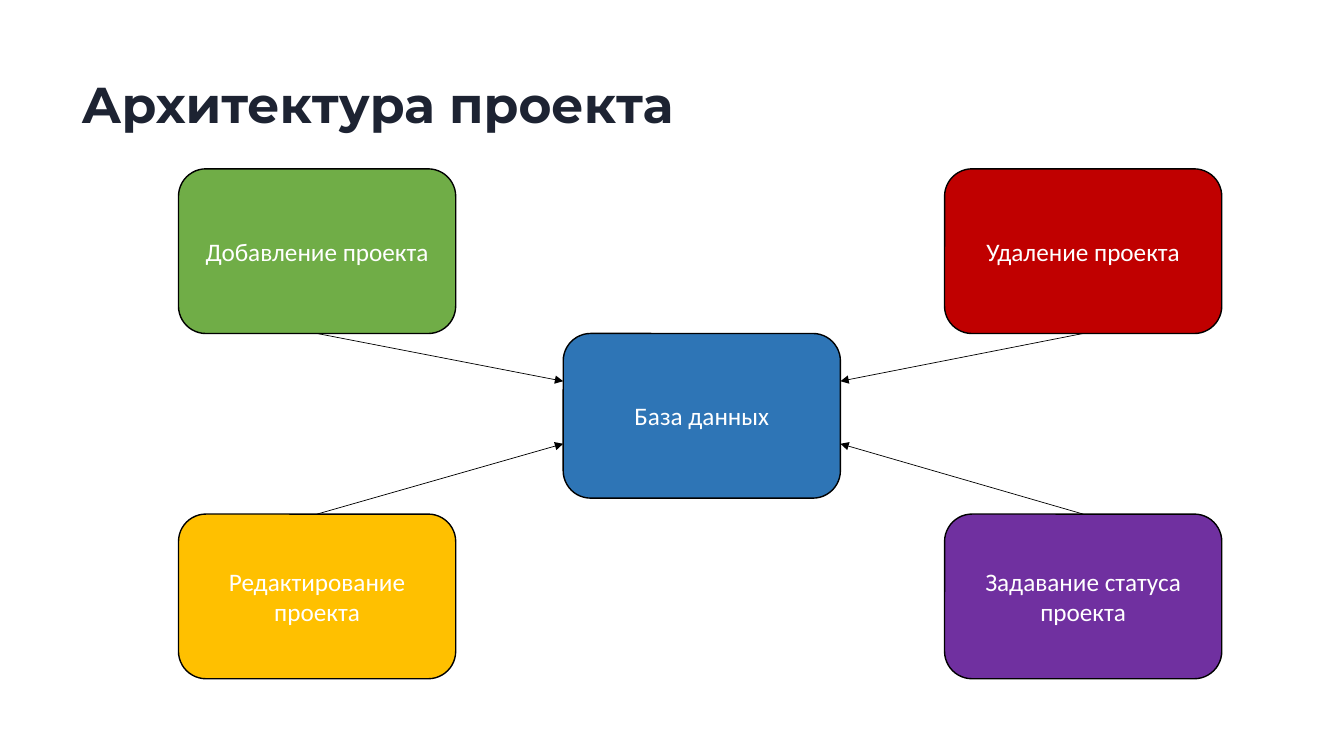
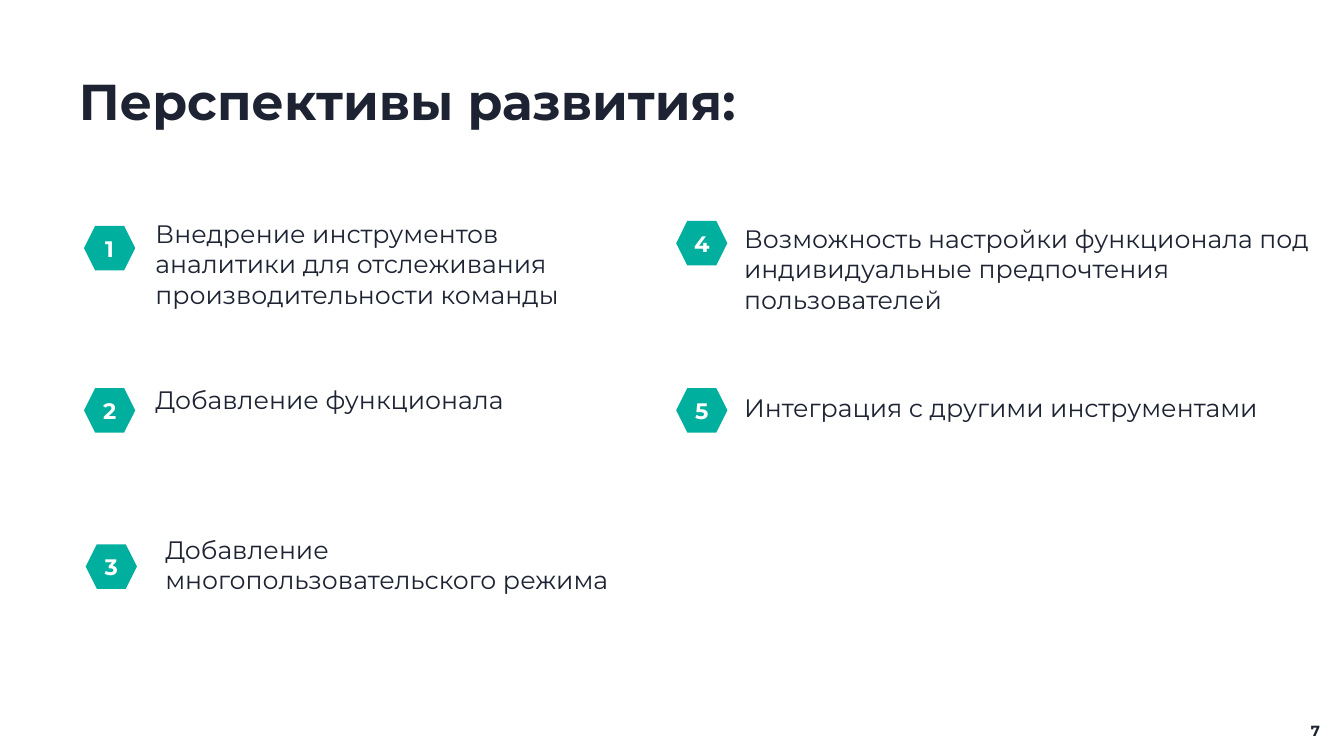
from dataclasses import dataclass

from lxml.etree import SubElement
from pptx import Presentation
from pptx.dml.color import RGBColor
from pptx.enum.shapes import MSO_CONNECTOR, MSO_SHAPE
from pptx.enum.text import MSO_ANCHOR, PP_ALIGN
from pptx.oxml.ns import qn
from pptx.presentation import Presentation as Deck
from pptx.shapes.autoshape import Shape
from pptx.slide import Slide
from pptx.util import Emu, Pt

COLUMNS, ROWS = 160, 90
CELL = 76200
INK, WHITE, BLACK, TEAL = "1D2332", "FFFFFF", "000000", "00AF9D"
HEADING_FONT, NODE_FONT = "Montserrat", "Calibri"
TOP, BOTTOM = 0, 2


@dataclass(frozen=True)
class Area:
    left: float
    top: float
    width: float
    height: float


@dataclass(frozen=True)
class Style:
    size: float
    color: str = INK
    font: str = HEADING_FONT
    bold: bool = False
    align: PP_ALIGN = PP_ALIGN.LEFT
    anchor: MSO_ANCHOR = MSO_ANCHOR.TOP
    line_spacing: float = 1.0
    gap: float = 0
    inset: bool = True


@dataclass(frozen=True)
class Node:
    text: str
    fill: str
    left: float
    top: float


@dataclass(frozen=True)
class Badge:
    label: str
    left: float
    top: float


@dataclass(frozen=True)
class Note:
    paragraphs: tuple[str, ...]
    area: Area
    inset: bool = True


TITLE = Style(36, bold=True, anchor=MSO_ANCHOR.MIDDLE, line_spacing=0.9, inset=False)
NODE = Style(18, WHITE, NODE_FONT, align=PP_ALIGN.CENTER, anchor=MSO_ANCHOR.MIDDLE)
BADGE = Style(16, WHITE, bold=True, align=PP_ALIGN.CENTER,
              anchor=MSO_ANCHOR.MIDDLE, inset=False)
PAGE_NUMBER = Style(10.5, bold=True, align=PP_ALIGN.RIGHT, anchor=MSO_ANCHOR.MIDDLE)

NODE_WIDTH, NODE_HEIGHT = 33, 19.6
BADGE_WIDTH, BADGE_HEIGHT = 6.1, 5.3
LEFT_COLUMN, HUB_COLUMN, RIGHT_COLUMN = 21.25, 67.05, 112.45
UPPER_ROW, HUB_ROW, LOWER_ROW = 20.1, 39.7, 61.2
UPPER_ENTRY, LOWER_ENTRY = 0.29, 0.67

HUB = Node("База данных", "2E75B6", HUB_COLUMN, HUB_ROW)
ACTIONS = (
    Node("Добавление проекта", "70AD47", LEFT_COLUMN, UPPER_ROW),
    Node("Редактирование проекта", "FFC000", LEFT_COLUMN, LOWER_ROW),
    Node("Удаление проекта", "C00000", RIGHT_COLUMN, UPPER_ROW),
    Node("Задавание статуса проекта", "7030A0", RIGHT_COLUMN, LOWER_ROW),
)
BADGES = (
    Badge("1", 10, 26.9),
    Badge("2", 10, 46.2),
    Badge("3", 10.2, 64.8),
    Badge("4", 80.5, 26.3),
    Badge("5", 80.5, 46.2),
)
NOTES = (
    Note(("Внедрение инструментов аналитики для отслеживания производительности команды",
          "Добавление функционала"), Area(18.5, 26, 56.8, 24.4), inset=False),
    Note(("Добавление многопользовательского режима",), Area(18.5, 63, 56.8, 8.5)),
    Note(("Возможность настройки функционала под индивидуальные предпочтения пользователей",),
         Area(87.4, 26, 72.6, 12.1)),
    Note(("Интеграция с другими инструментами",), Area(87.4, 46.1, 63.8, 4.8)),
)


def cells(count: float) -> Emu:
    return Emu(round(count * CELL))


def place(area: Area) -> tuple[Emu, Emu, Emu, Emu]:
    return cells(area.left), cells(area.top), cells(area.width), cells(area.height)


def color(code: str) -> RGBColor:
    return RGBColor.from_string(code)


def write(box: Shape, paragraphs: tuple[str, ...], style: Style) -> None:
    frame = box.text_frame
    frame.word_wrap = True
    frame.vertical_anchor = style.anchor
    if not style.inset:
        frame.margin_left = frame.margin_right = 0
        frame.margin_top = frame.margin_bottom = 0
    for index, text in enumerate(paragraphs):
        para = frame.add_paragraph() if index else frame.paragraphs[0]
        para.alignment = style.align
        para.line_spacing = style.line_spacing
        if index:
            para.space_before = Pt(style.gap)
        span = para.add_run()
        span.text = text
        span.font.name = style.font
        span.font.size = Pt(style.size)
        span.font.bold = style.bold
        span.font.color.rgb = color(style.color)


def add_text(page: Slide, area: Area, paragraphs: tuple[str, ...], style: Style) -> None:
    write(page.shapes.add_textbox(*place(area)), paragraphs, style)


def add_panel(page: Slide, kind: MSO_SHAPE, area: Area, fill: str,
              text: str, style: Style, outline: str | None = None) -> Shape:
    panel = page.shapes.add_shape(kind, *place(area))
    panel.shadow.inherit = False
    panel.fill.solid()
    panel.fill.fore_color.rgb = color(fill)
    if outline:
        panel.line.color.rgb = color(outline)
        panel.line.width = Pt(1)
    else:
        panel.line.fill.background()
    write(panel, (text,), style)
    return panel


def add_node(page: Slide, node: Node) -> Shape:
    area = Area(node.left, node.top, NODE_WIDTH, NODE_HEIGHT)
    return add_panel(page, MSO_SHAPE.ROUNDED_RECTANGLE, area, node.fill,
                     node.text, NODE, BLACK)


def add_arrow(page: Slide, node: Node, box: Shape) -> None:
    above, before = node.top < HUB.top, node.left < HUB.left
    start_x = node.left + NODE_WIDTH / 2
    start_y = node.top + (NODE_HEIGHT if above else 0)
    end_x = HUB.left + (0 if before else NODE_WIDTH)
    end_y = HUB.top + NODE_HEIGHT * (UPPER_ENTRY if above else LOWER_ENTRY)
    arrow = page.shapes.add_connector(
        MSO_CONNECTOR.STRAIGHT, cells(start_x), cells(start_y), cells(end_x), cells(end_y))
    arrow.begin_connect(box, BOTTOM if above else TOP)
    arrow.line.color.rgb = color(BLACK)
    arrow.line.width = Pt(0.5)
    SubElement(arrow.line._get_or_add_ln(), qn("a:tailEnd"), type="triangle")
    SubElement(arrow._element.spPr, qn("a:effectLst"))


def add_page(deck: Deck, title: str, title_area: Area) -> Slide:
    page = deck.slides.add_slide(deck.slide_layouts[6])
    page.background.fill.solid()
    page.background.fill.fore_color.rgb = color(WHITE)
    add_text(page, title_area, (title,), TITLE)
    return page


def build_architecture(deck: Deck) -> None:
    page = add_page(deck, "Архитектура проекта", Area(9.7, 9.4, 100.4, 6.6))
    add_node(page, HUB)
    boxes = [add_node(page, node) for node in ACTIONS]
    for node, box in zip(ACTIONS, boxes):
        add_arrow(page, node, box)


def build_prospects(deck: Deck) -> None:
    page = add_page(deck, "Перспективы развития:", Area(9.4, 9.1, 113.5, 6.6))
    for badge in BADGES:
        area = Area(badge.left, badge.top, BADGE_WIDTH, BADGE_HEIGHT)
        add_panel(page, MSO_SHAPE.HEXAGON, area, TEAL, badge.label, BADGE)
    for note in NOTES:
        add_text(page, note.area, note.paragraphs, Style(18, gap=54, inset=note.inset))
    add_text(page, Area(152.2, 85.4, 6.1, 3.1), ("7",), PAGE_NUMBER)


def main() -> None:
    deck = Presentation()
    deck.slide_width, deck.slide_height = cells(COLUMNS), cells(ROWS)
    build_architecture(deck)
    build_prospects(deck)
    deck.save("out.pptx")


if __name__ == "__main__":
    main()
